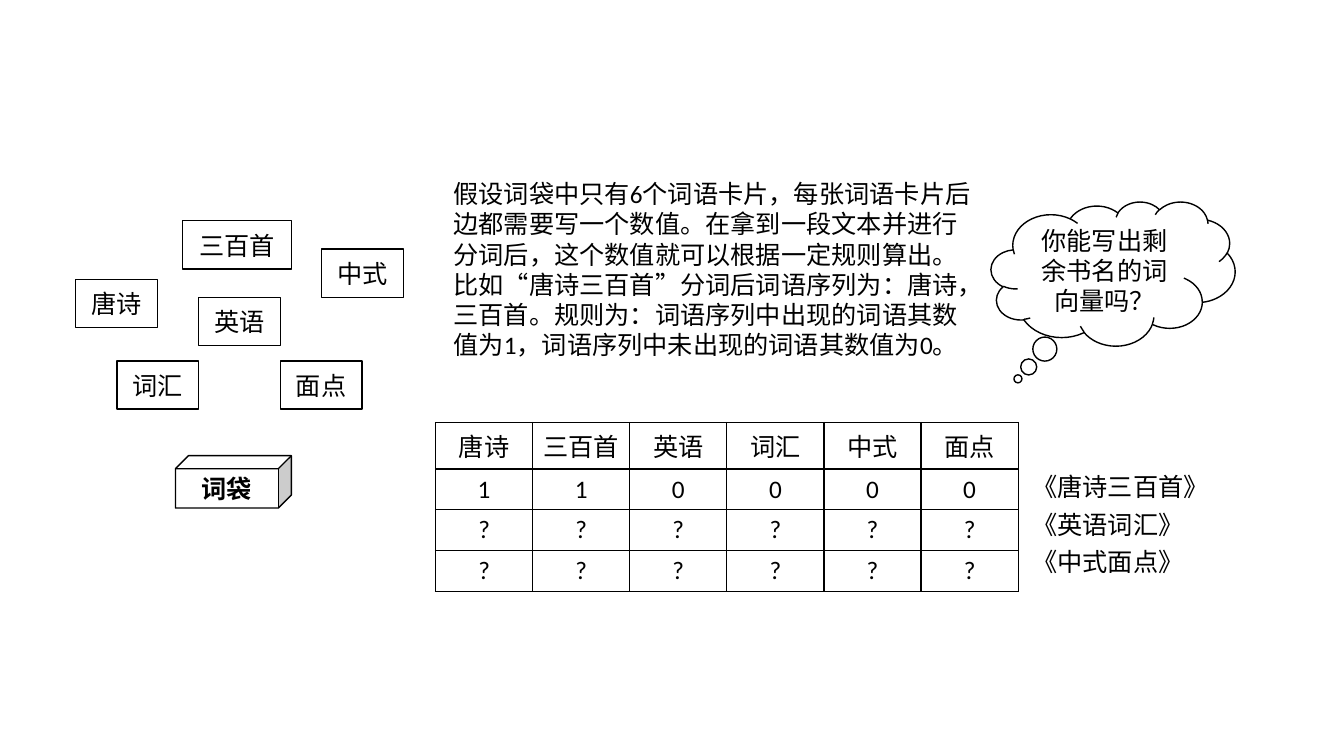
from lxml import etree
from pptx import Presentation
from pptx.dml.color import RGBColor
from pptx.enum import shapes, text
from pptx.oxml import ns
from pptx.util import Inches, Pt

BLACK = RGBColor(0x00, 0x00, 0x00)
WHITE = RGBColor(0xFF, 0xFF, 0xFF)


def write(frame, words, align=text.PP_ALIGN.CENTER, bold=False, wrap=True):
    frame.word_wrap = wrap
    paragraph = frame.paragraphs[0]
    paragraph.alignment = align
    run = paragraph.add_run()
    run.text = words
    run.font.name = "Calibri"
    run.font.size = Pt(18)
    run.font.bold = bold
    run.font.color.rgb = BLACK


def add_outlined(slide, kind, left, top, width, height, words, bold=False):
    """Add a white shape with a thin black outline and centred text."""
    shape = slide.shapes.add_shape(
        kind, Inches(left), Inches(top), Inches(width), Inches(height))
    shape.shadow.inherit = False
    shape.fill.solid()
    shape.fill.fore_color.rgb = WHITE
    shape.line.color.rgb = BLACK
    shape.line.width = Pt(1)
    shape.text_frame.vertical_anchor = text.MSO_ANCHOR.MIDDLE
    write(shape.text_frame, words, bold=bold)
    return shape


presentation = Presentation()
presentation.slide_width = Inches(13.33)
presentation.slide_height = Inches(7.5)
slide = presentation.slides.add_slide(presentation.slide_layouts[6])

# Word bag and its cards
add_outlined(slide, shapes.MSO_SHAPE.CUBE, 1.74, 4.52, 1.15, 0.52, "词袋", bold=True)

cards = [
    ("唐诗", 0.75, 2.77, 0.81),
    ("三百首", 1.81, 2.19, 1.08),
    ("英语", 1.97, 2.95, 0.81),
    ("词汇", 1.16, 3.58, 0.81),
    ("中式", 3.19, 2.47, 0.81),
    ("面点", 2.78, 3.58, 0.81),
]
for word, left, top, width in cards:
    add_outlined(slide, shapes.MSO_SHAPE.RECTANGLE, left, top, width, 0.48, word)

# Word vector table
vectors = [[card[0] for card in cards], list("110000"), list("??????"), list("??????")]
table_frame = slide.shapes.add_table(
    len(vectors), len(cards), Inches(4.32), Inches(4.19), Inches(5.78), Inches(1.6))
table = table_frame.table
table.first_row = False
table.horz_banding = False
for row, values in enumerate(vectors):
    for column, value in enumerate(values):
        cell = table.cell(row, column)
        write(cell.text_frame, value)
        properties = cell._tc.get_or_add_tcPr()
        for side in ("a:lnL", "a:lnR", "a:lnT", "a:lnB"):
            border = etree.SubElement(properties, ns.qn(side), w=str(Pt(1)))
            fill = etree.SubElement(border, ns.qn("a:solidFill"))
            etree.SubElement(fill, ns.qn("a:srgbClr"), val=str(BLACK))
        cell.fill.background()

# Explanation
explanation = slide.shapes.add_textbox(Inches(4.4), Inches(1.72), Inches(5.4), Inches(1.92))
write(
    explanation.text_frame,
    "假设词袋中只有6个词语卡片，每张词语卡片后边都需要写一个数值。"
    "在拿到一段文本并进行分词后，这个数值就可以根据一定规则算出。"
    "比如“唐诗三百首”分词后词语序列为：唐诗，三百首。"
    "规则为：词语序列中出现的词语其数值为1，词语序列中未出现的词语其数值为0。",
    align=text.PP_ALIGN.LEFT)

# Book titles beside the table rows
titles = [("《唐诗三百首》", 1.97), ("《英语词汇》", 1.76), ("《中式面点》", 1.72)]
for index, (title, width) in enumerate(titles):
    label = slide.shapes.add_textbox(
        Inches(10.14), Inches(4.63 + 0.37 * index), Inches(width), Inches(0.4))
    write(label.text_frame, title, align=text.PP_ALIGN.LEFT, wrap=False)

# Question
cloud = add_outlined(slide, shapes.MSO_SHAPE.CLOUD_CALLOUT, 9.83, 2, 2.42, 1.43,
                     "你能写出剩余书名的词向量吗？")
cloud.adjustments[0] = -0.39
cloud.adjustments[1] = 0.73

presentation.save("out.pptx")
